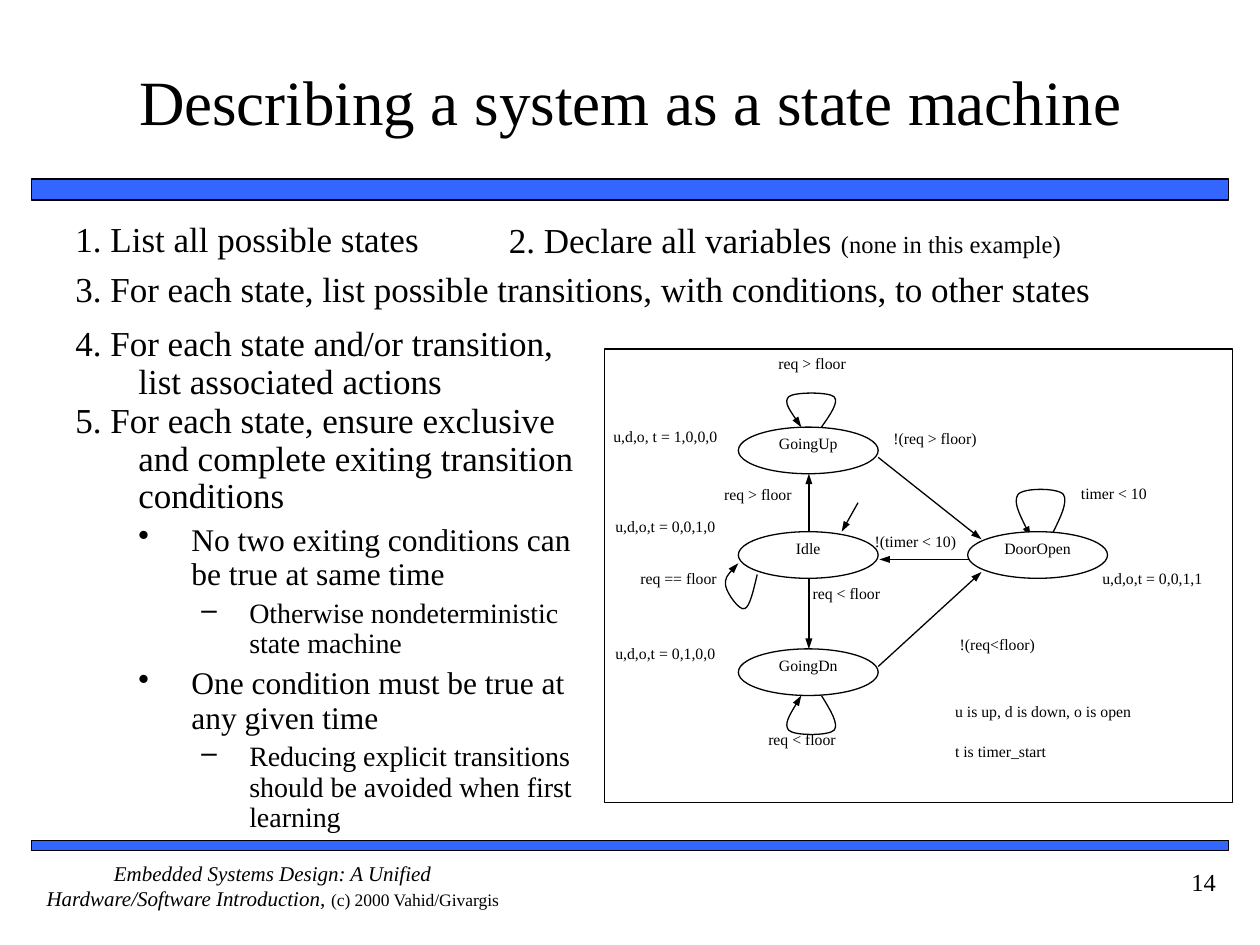
from dataclasses import dataclass

from lxml import etree
from pptx import Presentation
from pptx import util as u
from pptx.dml.color import RGBColor
from pptx.enum import shapes, text
from pptx.oxml import ns

LEFT, CENTER, RIGHT = text.PP_ALIGN.LEFT, text.PP_ALIGN.CENTER, text.PP_ALIGN.RIGHT


@dataclass(frozen=True)
class Theme:
    font: str = "Times New Roman"
    ink: RGBColor = RGBColor(0, 0, 0)
    paper: RGBColor = RGBColor(255, 255, 255)
    bar: RGBColor = RGBColor(0x33, 0x66, 0xFF)
    title: float = 36
    step: float = 20
    point: float = 18
    detail: float = 16
    aside: float = 14
    footer: float = 12
    credit: float = 10
    label: float = 9
    thin: float = 0.75


T = Theme()
PAD = (0.1, 0.05)  # side and top insets of the running text
# Paragraph levels: left margin, hanging indent, bullet, size, space before
LEVELS = [
    (1, -0.5, None, T.step, 5),
    (1.42, -0.42, "•", T.point, 4.5),
    (1.88, -0.38, "–", T.detail, 4),
]


def set_all(obj, values):
    for name, value in values.items():
        setattr(obj, name, value)


def inches(values):
    return [u.Inches(v) for v in values]


class Deck:
    def __init__(self, theme):
        self.theme = theme
        self.prs = Presentation()
        self.prs.slide_width, self.prs.slide_height = inches((10, 7.5))
        self.s = None

    def new_slide(self):
        self.s = self.prs.slides.add_slide(self.prs.slide_layouts[5])

    def frame(self, tf, pad=(0, 0), anchor=text.MSO_ANCHOR.TOP):
        x, y = inches(pad)
        set_all(tf, dict(word_wrap=True, auto_size=text.MSO_AUTO_SIZE.NONE,
                         vertical_anchor=anchor, margin_left=x, margin_right=x,
                         margin_top=y, margin_bottom=y))

    def runs(self, p, parts, align=LEFT):
        """Fill a paragraph from (text, size[, italic]) parts."""
        p.alignment = align
        for words, size, *italic in parts:
            r = p.add_run()
            r.text = words
            set_all(r.font, dict(name=self.theme.font, size=u.Pt(size), italic=bool(italic)))
            r.font.color.rgb = self.theme.ink

    def title(self, box, words):
        sp = self.s.shapes.title
        set_all(sp, dict(zip(("left", "top", "width", "height"), inches(box))))
        self.frame(sp.text_frame, (0, 0.05), text.MSO_ANCHOR.MIDDLE)
        self.runs(sp.text_frame.paragraphs[0], [(words, self.theme.title)], CENTER)

    def text_box(self, box, parts, align=LEFT, pad=(0, 0)):
        tf = self.s.shapes.add_textbox(*inches(box)).text_frame
        self.frame(tf, pad)
        self.runs(tf.paragraphs[0], parts, align)

    def outline(self, box, items, spacing=0.9):
        """Add a hanging-indent list from (level, text[, aside]) items."""
        tf = self.s.shapes.add_textbox(*inches(box)).text_frame
        self.frame(tf, PAD)
        for i, (level, words, *aside) in enumerate(items):
            p = tf.paragraphs[0] if i == 0 else tf.add_paragraph()
            margin, indent, bullet, size, before = LEVELS[level]
            pPr = p._p.get_or_add_pPr()
            pPr.set("marL", str(u.Inches(margin)))
            pPr.set("indent", str(u.Inches(indent)))
            if bullet:
                etree.SubElement(pPr, ns.qn("a:buChar")).set("char", bullet)
            set_all(p, dict(line_spacing=spacing, space_before=u.Pt(before if i else 0)))
            self.runs(p, [(words, size)] + [(a, self.theme.aside) for a in aside])

    def shape(self, kind, box, fill=None, width=None):
        sp = self.s.shapes.add_shape(kind, *inches(box))
        sp.shadow.inherit = False
        if fill is None:
            sp.fill.background()
        else:
            sp.fill.solid()
            sp.fill.fore_color.rgb = fill
        self.stroke(sp, width or self.theme.thin)
        return sp

    def stroke(self, sp, width, arrow=False):
        sp.line.color.rgb = self.theme.ink
        sp.line.width = u.Pt(width)
        if arrow:
            tail = etree.SubElement(sp.line._get_or_add_ln(), ns.qn("a:tailEnd"))
            for key, value in dict(type="triangle", w="sm", len="med").items():
                tail.set(key, value)

    def state(self, box, name):
        sp = self.shape(shapes.MSO_SHAPE.OVAL, box, self.theme.paper)
        self.frame(sp.text_frame)
        self.runs(sp.text_frame.paragraphs[0], [(name, self.theme.label)], CENTER)

    def arrow(self, start, end):
        line = self.s.shapes.add_connector(shapes.MSO_CONNECTOR.STRAIGHT, *inches(start + end))
        self.stroke(line, self.theme.thin, arrow=True)
        etree.SubElement(line._element.spPr, ns.qn("a:effectLst"))

    def curve(self, points):
        """Draw an arrow through Bezier points: a start, then triples."""
        pts = [tuple(inches(pt)) for pt in points]
        builder = self.s.shapes.build_freeform(*pts[0])
        builder.add_line_segments(pts[1:], close=False)
        sp = builder.convert_to_shape()
        sp.shadow.inherit = False
        sp.fill.background()
        self.stroke(sp, self.theme.thin, arrow=True)
        # Join every three line segments into one cubic segment
        segments = list(sp._element.iter(ns.qn("a:lnTo")))
        for i in range(0, len(segments), 3):
            cubic = etree.Element(ns.qn("a:cubicBezTo"))
            segments[i].addprevious(cubic)
            for seg in segments[i:i + 3]:
                cubic.append(seg[0])
                seg.getparent().remove(seg)

    def self_loop(self, cx, y, height):
        """Loop on a state; a negative height rises above it."""
        half = [(0.08, 0), (0.15, 0.36), (0.22, 0.71), (0.18, 0.86), (0.14, 1)]
        both = half + [(-dx, f) for dx, f in reversed(half)]
        self.curve([(cx + dx, y + f * height) for dx, f in both])


def main():
    deck = Deck(T)
    deck.new_slide()

    # Bars, footer and title
    for top, height in ((1.42, 0.17), (6.67, 0.08)):
        deck.shape(shapes.MSO_SHAPE.RECTANGLE, (0.25, top, 9.5, height), T.bar, 1)
    deck.text_box((0.25, 6.83, 3.83, 0.5), [
        ("Embedded Systems Design: A Unified Hardware/Software Introduction, ", T.footer, True),
        ("(c) 2000 Vahid/Givargis", T.credit)], CENTER)
    deck.text_box((8.75, 6.83, 1, 0.5), [("14", T.aside)], RIGHT, PAD)
    deck.title((0.42, 0.17, 9.17, 1.25), "Describing a system as a state machine")

    # Numbered steps
    deck.outline((0, 1.68, 6.01, 0.46), [(0, "1. List all possible states")], 1.0)
    deck.outline((3.44, 1.72, 6.01, 0.4),
                 [(0, "2. Declare all variables ", "(none in this example)")])
    deck.outline((0, 2.11, 9.1, 0.75), [
        (0, "3. For each state, list possible transitions, with conditions, to other states")])
    deck.outline((0, 2.54, 4.67, 0.75), [
        (0, "4. For each state and/or transition, list associated actions")])
    deck.outline((0, 3.15, 4.81, 2.72), [
        (0, "5. For each state, ensure exclusive and complete exiting transition conditions"),
        (1, "No two exiting conditions can be true at same time"),
        (2, "Otherwise nondeterministic state machine"),
        (1, "One condition must be true at any given time"),
        (2, "Reducing explicit transitions should be avoided when first learning")])

    # Transitions between states
    for start, end in (((6.97, 3.63), (7.79, 4.28)), ((6.42, 4.22), (6.42, 3.76)),
                       ((6.42, 4.59), (6.42, 5.15)), ((6.97, 5.29), (7.79, 4.54)),
                       ((7.69, 4.44), (6.98, 4.44)), ((6.81, 3.99), (6.68, 4.22))):
        deck.arrow(start, end)

    # Transitions back to the same state
    for cx, y, height in ((6.44, 3.39, -0.28), (6.44, 5.52, 0.32), (8.26, 4.26, -0.39)):
        deck.self_loop(cx, y, height)
    deck.curve([(6.01, 4.56), (5.98, 4.69), (5.95, 4.82), (5.91, 4.83), (5.87, 4.85),
                (5.77, 4.71), (5.76, 4.65), (5.75, 4.59), (5.8, 4.53), (5.86, 4.47)])

    # States
    for x, y, name in ((5.86, 4.22, "Idle"), (5.86, 3.39, "GoingUp"),
                       (7.68, 4.22, "DoorOpen"), (5.86, 5.15, "GoingDn")):
        deck.state((x, y, 1.11, 0.37), name)

    # Conditions, outputs and legend
    for x, y, width, words, align in (
            (6.09, 2.81, 0.71, "req > floor", CENTER), (7.09, 3.4, 1.57, "!(req > floor)", LEFT),
            (4.7, 3.39, 1.16, "u,d,o, t = 1,0,0,0", CENTER),
            (4.7, 4.1, 1.16, "u,d,o,t = 0,0,1,0", CENTER),
            (4.7, 5.11, 1.16, "u,d,o,t = 0,1,0,0", CENTER),
            (8.69, 4.51, 0.91, "u,d,o,t = 0,0,1,1", CENTER),
            (6.45, 4.63, 0.7, "req < floor", LEFT), (5.66, 3.85, 0.71, "req > floor", CENTER),
            (5.03, 4.51, 0.71, "req == floor", CENTER), (6.01, 5.79, 0.71, "req < floor", CENTER),
            (7.13, 5.04, 1.57, "!(req<floor)", CENTER), (6.76, 4.22, 1.01, "!(timer < 10)", CENTER),
            (8.49, 3.84, 0.7, "timer < 10", CENTER),
            (7.58, 5.57, 1.92, "u is up, d is down, o is open", LEFT),
            (7.58, 5.89, 1.92, "t is timer_start", LEFT)):
        deck.text_box((x, y, width, 0.28), [(words, T.label)], align)

    # Diagram border
    deck.shape(shapes.MSO_SHAPE.RECTANGLE, (4.8, 2.77, 4.98, 3.6))
    deck.prs.save("out.pptx")


if __name__ == "__main__":
    main()
